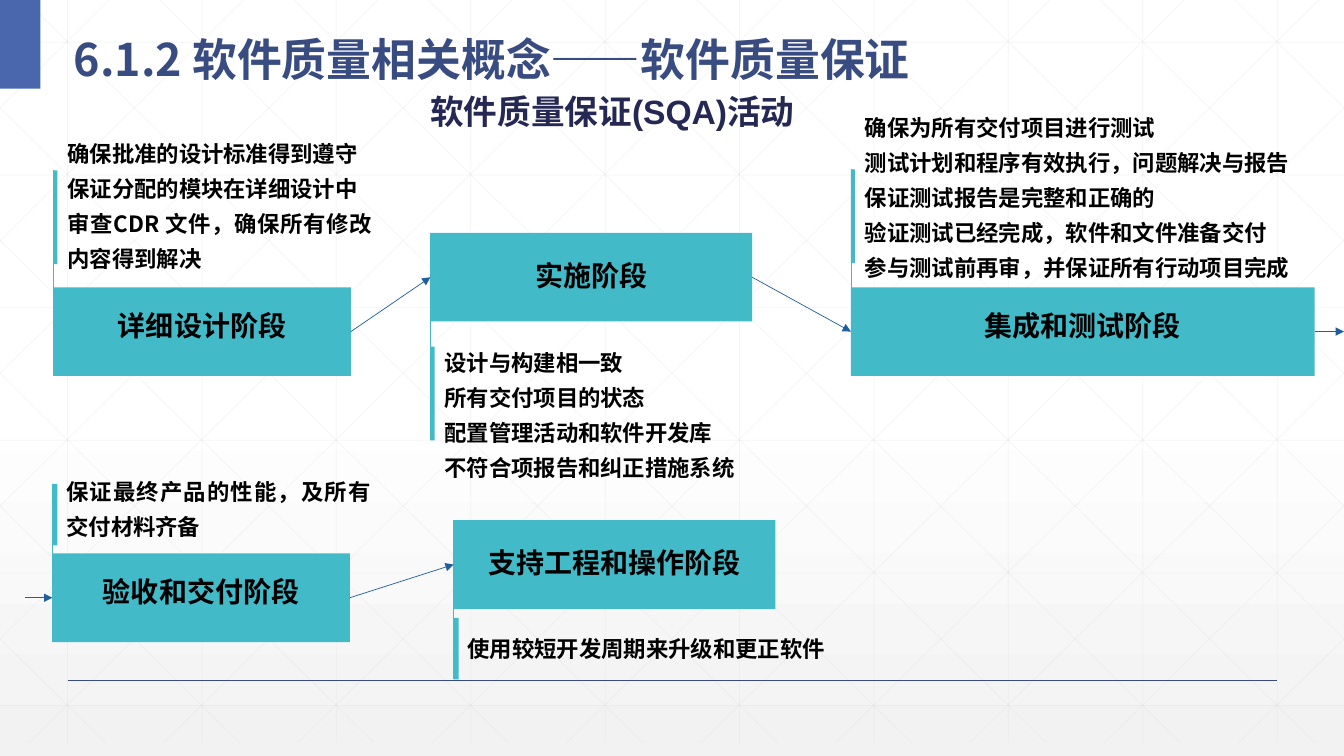
from collections import namedtuple

from lxml import etree
from pptx import Presentation
from pptx.dml.color import RGBColor
from pptx.enum.shapes import MSO_CONNECTOR, MSO_SHAPE
from pptx.enum.text import MSO_ANCHOR, MSO_AUTO_SIZE, PP_ALIGN
from pptx.oxml.ns import qn
from pptx.util import Inches, Pt

STRAIGHT, RECTANGLE = MSO_CONNECTOR.STRAIGHT, MSO_SHAPE.RECTANGLE
TOP, MIDDLE = MSO_ANCHOR.TOP, MSO_ANCHOR.MIDDLE
LEFT, CENTER, JUSTIFY = PP_ALIGN.LEFT, PP_ALIGN.CENTER, PP_ALIGN.JUSTIFY
LEFT_SIDE, RIGHT_SIDE = 1, 3

WHITE = RGBColor(0xFF, 0xFF, 0xFF)
BLACK = RGBColor(0, 0, 0)
PALE_GREY = RGBColor(0xF2, 0xF2, 0xF2)
GRID_GREY = RGBColor(0xD9, 0xD9, 0xD9)
CORNER_BLUE = RGBColor(0x4A, 0x66, 0xAC)
TITLE_BLUE = RGBColor(0x38, 0x4C, 0x81)
NAVY = RGBColor(0x24, 0x28, 0x52)
TEAL = RGBColor(0x42, 0xBA, 0xC8)
ARROW_BLUE = RGBColor(0x1F, 0x5F, 0xA0)
CJK, LATIN = "Noto Sans CJK SC", "Arial"

TITLE = "6.1.2 软件质量相关概念——软件质量保证"
SUBTITLE = "软件质量保证(SQA)活动"

# Lengths in inches; lift raises the label above the middle of its box.
Stage = namedtuple("Stage", "name left top width lift bar note notes")
Bar = namedtuple("Bar", "top width height")
Note = namedtuple("Note", "top width height")
STAGES = [
    Stage("详细设计阶段", 0.53, 2.85, 2.95, 0.04, Bar(1.69, 0.04, 0.93), Note(1.26, 3.22, 1.47),
          ["确保批准的设计标准得到遵守", "保证分配的模块在详细设计中",
           "审查CDR 文件，确保所有修改内容得到解决"]),
    Stage("实施阶段", 4.27, 2.31, 3.19, 0, Bar(3.44, 0.04, 0.93), Note(3.33, 3.37, 1.47),
          ["设计与构建相一致", "所有交付项目的状态",
           "配置管理活动和软件开发库", "不符合项报告和纠正措施系统"]),
    Stage("集成和测试阶段", 8.44, 2.85, 4.6, 0.04, Bar(1.68, 0.04, 0.93), Note(1, 4.58, 1.85),
          ["确保为所有交付项目进行测试", "测试计划和程序有效执行，问题解决与报告",
           "保证测试报告是完整和正确的", "验证测试已经完成，软件和文件准备交付",
           "参与测试前再审，并保证所有行动项目完成"]),
    Stage("验收和交付阶段", 0.52, 5.49, 2.95, 0.04, Bar(4.8, 0.05, 0.61), Note(4.61, 3.22, 0.77),
          ["保证最终产品的性能，及所有交付材料齐备"]),
    Stage("支持工程和操作阶段", 4.5, 5.16, 3.19, 0, Bar(6.13, 0.05, 0.61), Note(6.17, 3.94, 0.45),
          ["使用较短开发周期来升级和更正软件"]),
]
STAGE_HEIGHT = 0.88
FLOWS = [(0, 1), (1, 2), (3, 4)]
FLOW_ROWS = (3.28, 5.93)

SLIDE_W, SLIDE_H = 13.33, 7.5
GRID_H = 7.37
COLUMN, ROW = SLIDE_W / 10, 1.316
DIAGONAL_START, DIAGONAL_RUN = 0.25, 7.46


def grid_lines():
    """Yield the ends of the upright, level and slanting background lines."""
    for column in range(10):
        x = 0.67 + column * COLUMN
        yield (x, 0), (x, GRID_H)
    for row in range(6):
        y = 0.42 + row * ROW
        yield (0, y), (SLIDE_W, y)
    slope = GRID_H / DIAGONAL_RUN
    for step in range(-5, 10):
        head = DIAGONAL_START + step * COLUMN
        x1, x2 = max(head, 0), min(head + DIAGONAL_RUN, SLIDE_W)
        y1, y2 = (x1 - head) * slope, (x2 - head) * slope
        yield (x1, y1), (x2, y2)
        yield (SLIDE_W - x1, y1), (SLIDE_W - x2, y2)


def add_line(shapes, start, end, color, points):
    line = shapes.add_connector(STRAIGHT, *map(Inches, start + end))
    line.line.color.rgb = color
    line.line.width = Pt(points)
    etree.SubElement(line.element.spPr, qn("a:effectLst"))
    return line


def add_arrow(shapes, start, end):
    arrow = add_line(shapes, start, end, ARROW_BLUE, 0.5)
    etree.SubElement(arrow.line._get_or_add_ln(), qn("a:tailEnd"), type="triangle")
    return arrow


def add_block(shapes, box, color):
    block = shapes.add_shape(RECTANGLE, *map(Inches, box))
    block.shadow.inherit = False
    block.fill.solid()
    block.fill.fore_color.rgb = color
    block.line.fill.background()
    return block


def write(frame, lines, size, color, align, spacing, anchor=TOP, font=CJK):
    frame.word_wrap = True
    frame.auto_size = MSO_AUTO_SIZE.NONE
    frame.vertical_anchor = anchor
    frame.text = "\n".join(lines)
    for paragraph in frame.paragraphs:
        paragraph.alignment = align
        paragraph.line_spacing = spacing
        style = paragraph.font
        style.name, style.size, style.bold = font, Pt(size), True
        style.color.rgb = color
        east_asian = etree.Element(qn("a:ea"), typeface=CJK)
        paragraph._p.pPr.find(qn("a:defRPr")).find(qn("a:latin")).addnext(east_asian)


def add_backdrop(slide):
    """Fill the background and put the decoration on the slide's layout."""
    fill = slide.background.fill
    fill.gradient()
    fill.gradient_angle = 270
    for stop, color, position in zip(fill.gradient_stops, (WHITE, PALE_GREY), (0.53, 1)):
        stop.color.rgb = color
        stop.position = position
    decoration = []
    for start, end in grid_lines():
        line = add_line(slide.shapes, start, end, GRID_GREY, 0.5)
        tint = line.element.find(".//" + qn("a:srgbClr"))
        etree.SubElement(tint, qn("a:alpha"), val="25000")
        decoration.append(line)
    decoration.append(add_line(slide.shapes, (0.67, 6.75), (12.67, 6.75), TITLE_BLUE, 1))
    decoration.append(add_block(slide.shapes, (0, 0, 0.4, 0.88), CORNER_BLUE))
    for part in decoration:
        slide.slide_layout.shapes.element.append(part.element)


def add_stage(shapes, stage):
    """Draw stem, bar, notes and labelled box; return the box."""
    bar, note = stage.bar, stage.note
    if bar.top < stage.top:
        stem = (bar.top, stage.top + STAGE_HEIGHT)
    else:
        stem = (bar.top + bar.height, stage.top)
    add_line(shapes, (stage.left, stem[0]), (stage.left, stem[1]), TEAL, 0.5)
    add_block(shapes, (stage.left, bar.top, bar.width, bar.height), TEAL)
    notes = shapes.add_textbox(*map(Inches, (stage.left + 0.04, note.top, note.width, note.height)))
    write(notes.text_frame, stage.notes, 16, BLACK, JUSTIFY, Pt(25))
    box = add_block(shapes, (stage.left, stage.top, stage.width, STAGE_HEIGHT), TEAL)
    write(box.text_frame, [stage.name], 20, BLACK, CENTER, 0.9, MIDDLE)
    box.text_frame.margin_bottom = Inches(0.05 + 2 * stage.lift)
    return box


def main():
    prs = Presentation()
    prs.slide_width, prs.slide_height = Inches(SLIDE_W), Inches(SLIDE_H)
    slide = prs.slides.add_slide(prs.slide_layouts[5])
    shapes = slide.shapes
    add_backdrop(slide)

    title = shapes.title
    title.left, title.top, title.width, title.height = map(Inches, (0.63, 0.14, 12.05, 0.73))
    write(title.text_frame, [TITLE], 32, TITLE_BLUE, LEFT, 1.3, MIDDLE)
    subtitle = shapes.add_textbox(*map(Inches, (4.17, 0.73, 5.12, 0.81)))
    write(subtitle.text_frame, [SUBTITLE], 24, NAVY, LEFT, 1.3, font=LATIN)

    boxes = [add_stage(shapes, stage) for stage in STAGES]
    for source, target in FLOWS:
        arrow = add_arrow(shapes, (0, 0), (1, 1))
        arrow.begin_connect(boxes[source], RIGHT_SIDE)
        arrow.end_connect(boxes[target], LEFT_SIDE)
    leaving = add_arrow(shapes, (13.04, FLOW_ROWS[0]), (SLIDE_W, FLOW_ROWS[0]))
    leaving.begin_connect(boxes[2], RIGHT_SIDE)
    leaving.end_y = leaving.begin_y
    entering = add_arrow(shapes, (0.25, FLOW_ROWS[1]), (0.52, FLOW_ROWS[1]))
    entering.end_connect(boxes[3], LEFT_SIDE)
    entering.begin_y = entering.end_y

    prs.save("out.pptx")


if __name__ == "__main__":
    main()
